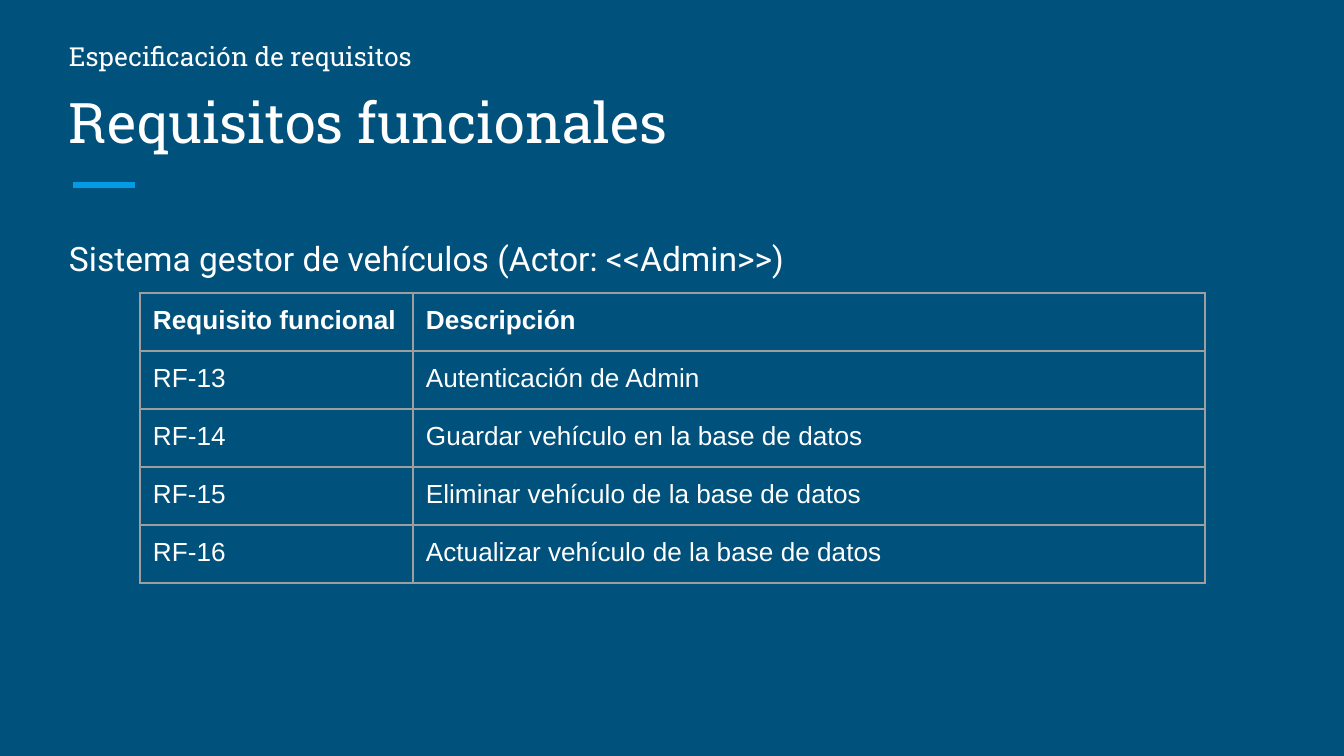
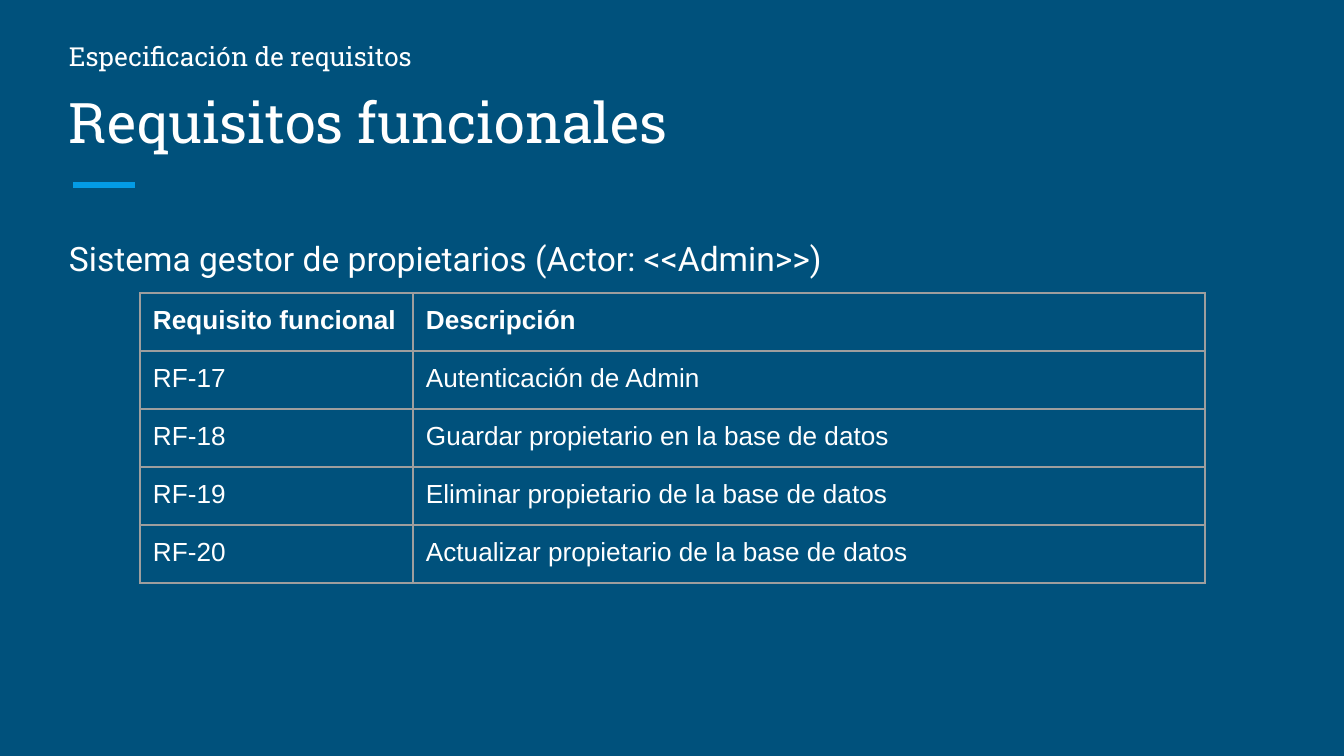
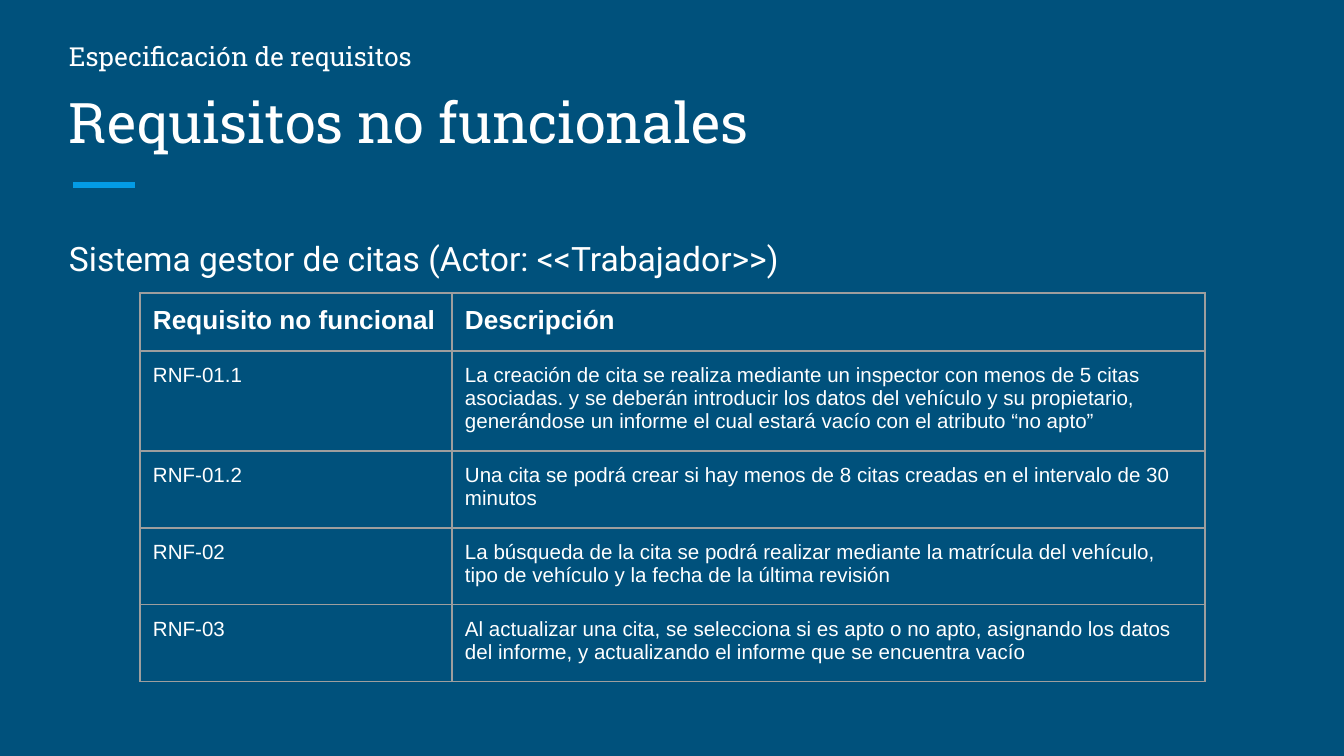
from lxml.etree import SubElement
from pptx import Presentation
from pptx.dml.color import RGBColor
from pptx.enum.shapes import MSO_CONNECTOR as Connector
from pptx.enum.text import MSO_ANCHOR as Anchor
from pptx.oxml.ns import qn
from pptx.util import Emu, Pt

WIDTH, HEIGHT = 1344, 756
SCALE = 9144000 / WIDTH


def px(length):
    return Emu(round(length * SCALE))


def color(code):
    return RGBColor.from_string(code)


class RequirementsDeck:
    """Holds the deck style and the slide being built."""

    NAVY, ACCENT, WHITE, GRID = "00517C", "039BE5", "FFFFFF", "9E9E9E"
    SERIF, SANS, TABLE_FONT = "Roboto Slab", "Roboto", "Arial"
    LEFT, CONTENT_WIDTH, INSET = 56, 1230, 13

    def __init__(self):
        self.deck = Presentation()
        self.deck.slide_width, self.deck.slide_height = px(WIDTH), px(HEIGHT)
        self.slide = None

    def start(self, heading, system):
        self.slide = self.deck.slides.add_slide(self.deck.slide_layouts[6])
        background = self.slide.background.fill
        background.solid()
        background.fore_color.rgb = color(self.NAVY)
        self.rule(73, 185, 62)
        self.text(heading, 67, self.CONTENT_WIDTH, 101, 30, self.SERIF, Anchor.BOTTOM)
        subject = self.text(system, 219, self.CONTENT_WIDTH, 453, 18, self.SANS)
        subject.line_spacing, subject.space_after = 1.15, Pt(12)
        self.text("Especificación de requisitos", 27, 614, 59, 14, self.SERIF)

    def rule(self, left, top, width):
        accent = self.slide.shapes.add_connector(
            Connector.STRAIGHT, px(left), px(top), px(left + width), px(top))
        accent.line.color.rgb = color(self.ACCENT)
        accent.line.width = Pt(3)
        SubElement(accent.element.spPr, qn("a:effectLst"))

    def style(self, paragraph, size, font, bold=False):
        for run in paragraph.runs:
            run.font.size, run.font.name, run.font.bold = Pt(size), font, bold
            run.font.color.rgb = color(self.WHITE)

    def pad(self, holder):
        holder.margin_left = holder.margin_right = px(self.INSET)
        holder.margin_top = holder.margin_bottom = px(self.INSET)

    def text(self, wording, top, width, height, size, font, anchor=Anchor.TOP):
        frame = self.slide.shapes.add_textbox(
            px(self.LEFT), px(top), px(width), px(height)).text_frame
        frame.word_wrap, frame.vertical_anchor = True, anchor
        self.pad(frame)
        frame.text = wording
        self.style(frame.paragraphs[0], size, font)
        return frame.paragraphs[0]

    def cell(self, cell, wording, size, bold):
        self.pad(cell)
        cell.text_frame.text = wording
        self.style(cell.text_frame.paragraphs[0], size, self.TABLE_FONT, bold)
        properties = cell._tc.get_or_add_tcPr()
        for edge in ("a:lnL", "a:lnR", "a:lnT", "a:lnB"):
            border = SubElement(properties, qn(edge), w=str(Pt(0.75)))
            SubElement(SubElement(border, qn("a:solidFill")), qn("a:srgbClr"), val=self.GRID)
        cell.fill.background()

    def table(self, kind, requirements, widths, heights, size):
        rows = [(kind, "Descripción"), *requirements]
        grid = self.slide.shapes.add_table(
            len(rows), len(widths), px(140), px(293), px(sum(widths)), px(sum(heights))).table
        grid.horz_banding = False
        for column, width in zip(grid.columns, widths):
            column.width = px(width)
        for index, (row, height, wordings) in enumerate(zip(grid.rows, heights, rows)):
            row.height = px(height)
            for cell, wording in zip(row.cells, wordings):
                self.cell(cell, wording, size if index else 14, index == 0)


def add_functional(deck, managed, entity, first):
    deck.start("Requisitos funcionales", f"Sistema gestor de {managed} (Actor: <<Admin>>)")
    actions = ["Autenticación de Admin", f"Guardar {entity} en la base de datos",
               f"Eliminar {entity} de la base de datos", f"Actualizar {entity} de la base de datos"]
    requirements = [(f"RF-{number}", action) for number, action in enumerate(actions, first)]
    deck.table("Requisito funcional", requirements, (273, 792), [58] * 5, 14)


def add_non_functional(deck):
    deck.start("Requisitos no funcionales", "Sistema gestor de citas (Actor: <<Trabajador>>)")
    requirements = [
        ("RNF-01.1", "La creación de cita se realiza mediante un inspector con menos de 5 citas "
                     "asociadas. y se deberán introducir los datos del vehículo y su propietario, "
                     "generándose un informe el cual estará vacío con el atributo “no apto”"),
        ("RNF-01.2", "Una cita se podrá crear si hay menos de 8 citas creadas en el intervalo "
                     "de 30 minutos"),
        ("RNF-02", "La búsqueda de la cita se podrá realizar mediante la matrícula del vehículo, "
                   "tipo de vehículo y la fecha de la última revisión"),
        ("RNF-03", "Al actualizar una cita, se selecciona si es apto o no apto, asignando los "
                   "datos del informe, y actualizando el informe que se encuentra vacío"),
    ]
    deck.table("Requisito no funcional", requirements, (312, 753), [58, 100, 77, 77, 77], 11)


def main():
    requirements = RequirementsDeck()
    add_functional(requirements, "vehículos", "vehículo", 13)
    add_functional(requirements, "propietarios", "propietario", 17)
    add_non_functional(requirements)
    requirements.deck.save("out.pptx")


if __name__ == "__main__":
    main()
